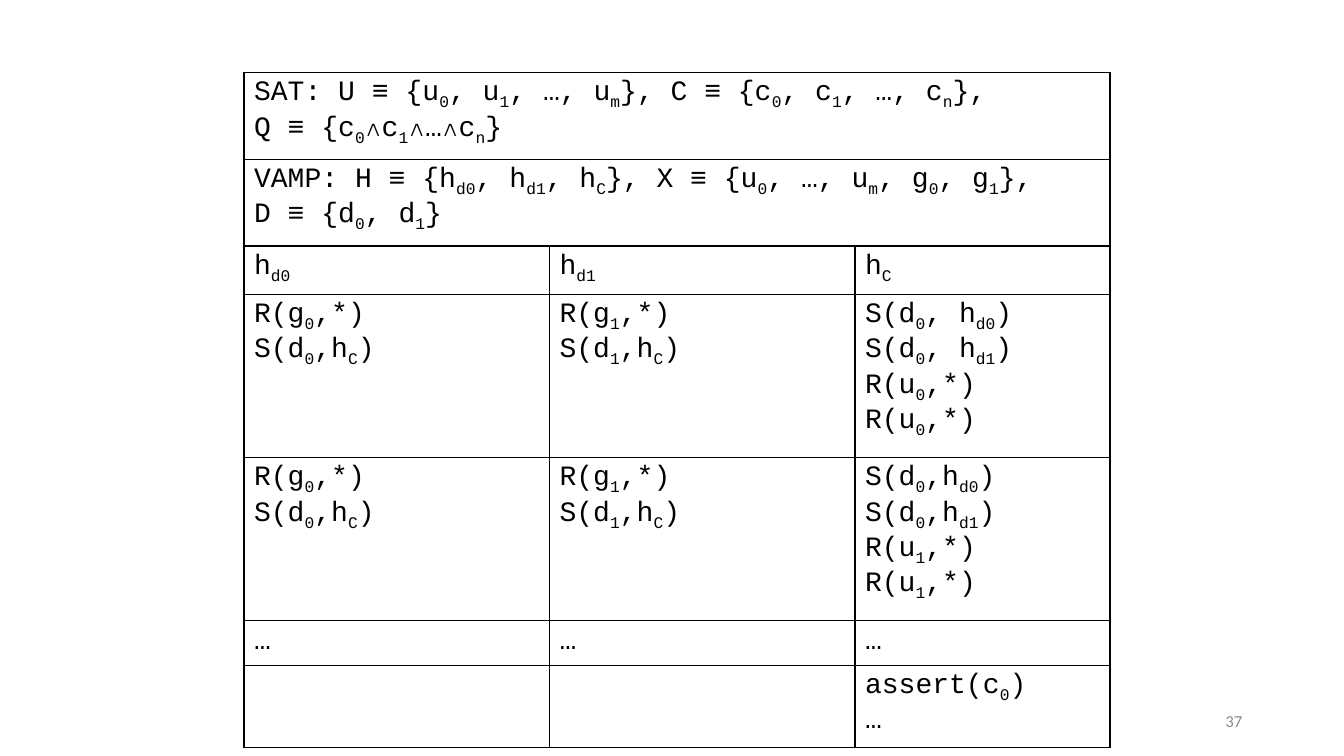
from lxml.etree import SubElement
from pptx import Presentation
from pptx.dml.color import RGBColor
from pptx.enum.text import MSO_ANCHOR as Anchor, PP_ALIGN as Align
from pptx.oxml.ns import qn
from pptx.util import Inches, Pt

BLACK = "000000"
GREY = "8C8C8C"

COLUMN_WIDTHS = [3.03, 3.03, 2.53]
ROW_HEIGHTS = [0.86, 0.86, 0.48, 1.62, 1.62, 0.44, 0.81]

# Text between a pair of tildes is set as subscript.
SAT = ["SAT: U ≡ {u~0~, u~1~, …, u~m~}, C ≡ {c~0~, c~1~, …, c~n~},",
       "Q ≡ {c~0~∧c~1~∧…∧c~n~}"]
VAMP = ["VAMP: H ≡ {h~d0~, h~d1~, h~C~}, X ≡ {u~0~, …, u~m~, g~0~, g~1~},",
        "D ≡ {d~0~, d~1~}"]


def color(hex_string):
    return RGBColor.from_string(hex_string)


def guard_steps(index):
    return [f"R(g~{index}~,*)", f"S(d~{index}~,h~C~)"]


def clause_steps(index, separator):
    sends = [f"S(d~0~{separator}h~{host}~)" for host in ("d0", "d1")]
    return sends + [f"R(u~{index}~,*)"] * 2


ROWS = [
    [SAT],
    [VAMP],
    [["h~d0~"], ["h~d1~"], ["h~C~"]],
    [guard_steps(0), guard_steps(1), clause_steps(0, ", ")],
    [guard_steps(0), guard_steps(1), clause_steps(1, ",")],
    [["…"]] * 3,
    [[""], [""], ["assert(c~0~)", "…"]],
]


class SlideBuilder:
    def __init__(self, slide):
        self.slide = slide
        self.code_font = "Courier New"
        self.code_size = 20

    def style(self, font, name, size, hex_string):
        font.name = name
        font.size = Pt(size)
        font.color.rgb = color(hex_string)

    def write_line(self, paragraph, line):
        """Write one line, with every second tilde-separated part as subscript."""
        self.style(paragraph.font, self.code_font, self.code_size, BLACK)
        for position, part in enumerate(line.split("~")):
            if part:
                run = paragraph.add_run()
                run.text = part
                self.style(run.font, self.code_font, self.code_size, BLACK)
                if position % 2:
                    run._r.get_or_add_rPr().set("baseline", "-25000")

    def outline(self, cell):
        """Give the cell a black border of one point and no fill."""
        properties = cell._tc.get_or_add_tcPr()
        for side in ("lnL", "lnR", "lnT", "lnB"):
            border = SubElement(properties, qn(f"a:{side}"), w=str(Pt(1)))
            fill = SubElement(border, qn("a:solidFill"))
            SubElement(fill, qn("a:srgbClr"), val=BLACK)
        cell.fill.background()

    def table(self, left, top, widths, heights, rows):
        table = self.slide.shapes.add_table(
            len(heights), len(widths), Inches(left), Inches(top),
            Inches(sum(widths)), Inches(sum(heights))).table
        table.first_row = table.horz_banding = False
        for column, width in zip(table.columns, widths):
            column.width = Inches(width)
        for row, height in zip(table.rows, heights):
            row.height = Inches(height)
        for cell in table.iter_cells():
            self.outline(cell)
        for r, contents in enumerate(rows):
            if len(contents) == 1:
                table.cell(r, 0).merge(table.cell(r, len(widths) - 1))
            for c, lines in enumerate(contents):
                frame = table.cell(r, c).text_frame
                for i, line in enumerate(lines):
                    paragraph = frame.add_paragraph() if i else frame.paragraphs[0]
                    self.write_line(paragraph, line)

    def page_number(self, left, top, width, height, number):
        frame = self.slide.shapes.add_textbox(
            Inches(left), Inches(top), Inches(width), Inches(height)).text_frame
        frame.word_wrap = True
        frame.vertical_anchor = Anchor.MIDDLE
        paragraph = frame.paragraphs[0]
        paragraph.alignment = Align.RIGHT
        run = paragraph.add_run()
        run.text = number
        self.style(run.font, "Calibri", 12, GREY)


def main():
    deck = Presentation()
    deck.slide_width, deck.slide_height = Inches(13.33), Inches(7.5)
    builder = SlideBuilder(deck.slides.add_slide(deck.slide_layouts[6]))
    builder.page_number(9.42, 6.95, 3, 0.4, "37")
    builder.table(2.42, 0.72, COLUMN_WIDTHS, ROW_HEIGHTS, ROWS)
    deck.save("out.pptx")


if __name__ == "__main__":
    main()
